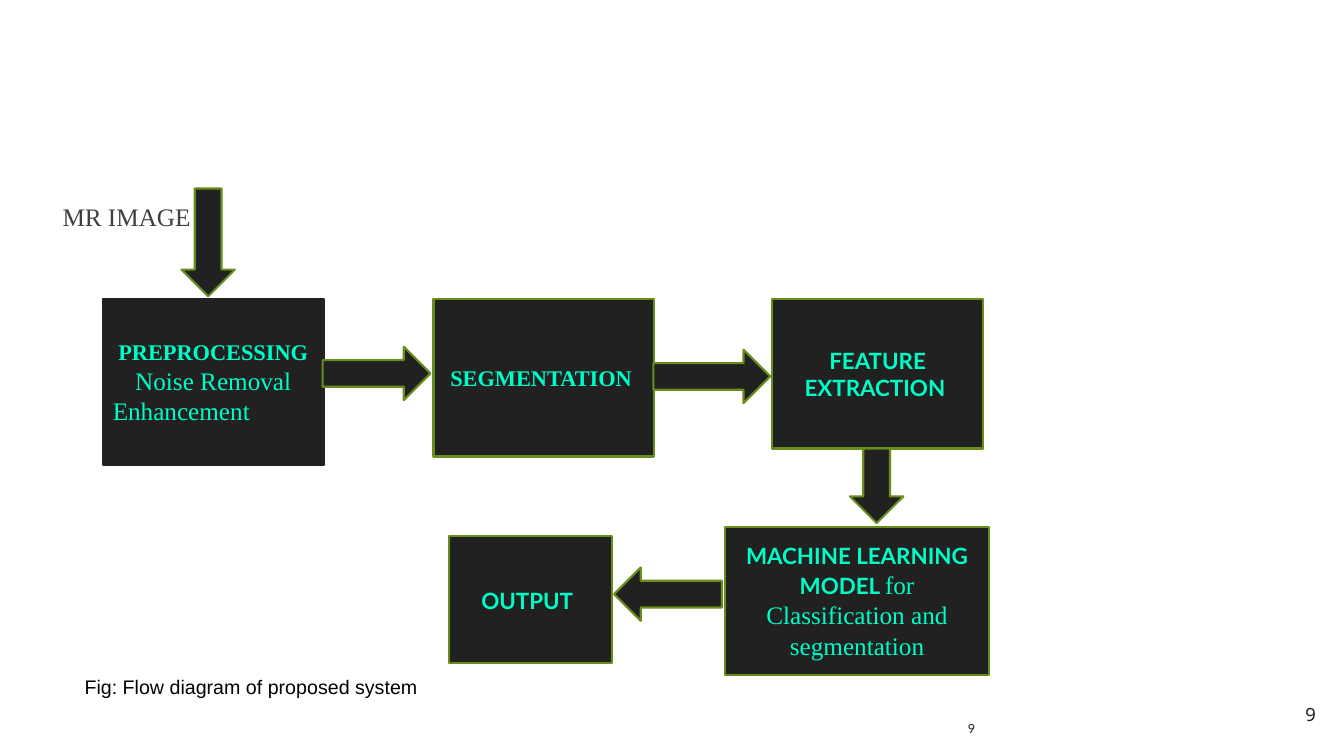
from pptx import Presentation
from pptx.dml.color import RGBColor
from pptx.enum.shapes import MSO_SHAPE
from pptx.enum.text import MSO_ANCHOR, PP_ALIGN
from pptx.util import Inches, Pt

RECTANGLE = MSO_SHAPE.RECTANGLE
RIGHT, DOWN, LEFT = MSO_SHAPE.RIGHT_ARROW, MSO_SHAPE.DOWN_ARROW, MSO_SHAPE.LEFT_ARROW
TOP, MIDDLE = MSO_ANCHOR.TOP, MSO_ANCHOR.MIDDLE
ALIGN_LEFT, ALIGN_CENTER, ALIGN_RIGHT = PP_ALIGN.LEFT, PP_ALIGN.CENTER, PP_ALIGN.RIGHT

COLORS = {
    "dark": "212121",
    "green": "698D1B",
    "mint": "00FDC8",
    "gray": "3F3F3F",
    "black": "000000",
}
SERIF = "Times New Roman"
SERIF_HEADING = {"name": SERIF, "size": Pt(16), "bold": True}
LATO_HEADING = {"name": "Lato", "size": Pt(16), "bold": True}
DETAIL = {"name": SERIF, "size": Pt(18), "bold": False}

STEPS = [
    ((1.02, 2.97, 2.19, 1.64), "dark", [
        (ALIGN_CENTER, [("PREPROCESSING", SERIF_HEADING)]),
        (ALIGN_CENTER, [("Noise Removal", DETAIL)]),
        (ALIGN_LEFT, [("Enhancement", DETAIL)]),
    ]),
    ((4.3, 2.97, 2.19, 1.56), "green", [(ALIGN_CENTER, [("SEGMENTATION ", SERIF_HEADING)])]),
    ((7.66, 2.97, 2.09, 1.48), "green", [(ALIGN_CENTER, [("FEATURE EXTRACTION ", LATO_HEADING)])]),
    ((7.19, 5.23, 2.62, 1.47), "green", [
        (ALIGN_CENTER, [("MACHINE LEARNING MODEL ", LATO_HEADING),
                        ("for Classification and segmentation", DETAIL)]),
    ]),
    ((4.45, 5.32, 1.62, 1.26), "green", [(ALIGN_CENTER, [("OUTPUT", LATO_HEADING), (" ", DETAIL)])]),
]
ARROWS = [
    (DOWN, (1.8, 1.87, 0.53, 1.07)),
    (RIGHT, (3.2, 3.44, 1.07, 0.53)),
    (RIGHT, (6.48, 3.47, 1.16, 0.53)),
    (DOWN, (8.43, 4.45, 0.53, 0.74)),
    (LEFT, (6.09, 5.63, 1.07, 0.53)),
]
LABELS = [
    ("Fig: Flow diagram of proposed system", (0.74, 6.61, 6.89, 0.4), "black",
     {"name": "Arial", "size": Pt(14)}, ALIGN_LEFT, MIDDLE, 0.1),
    ("9", (12.35, 6.8, 0.8, 0.57), "dark",
     {"name": "Noto Sans Mono", "size": Pt(13)}, ALIGN_RIGHT, MIDDLE, 0.1),
    ("MR IMAGE", (0.39, 1.95, 9.61, 4.92), "gray",
     {"name": SERIF, "size": Pt(18)}, ALIGN_LEFT, TOP, 0.23),
    ("9", (8.97, 7.08, 0.8, 0.3), "dark",
     {"name": "Lato", "size": Pt(9)}, ALIGN_RIGHT, MIDDLE, 0.1),
]


def rgb(name):
    """Return the named colour."""
    return RGBColor.from_string(COLORS[name])


def write_text(frame, paragraphs, color, anchor=MIDDLE):
    """Fill a text frame with aligned paragraphs of formatted runs."""
    frame.word_wrap = True
    frame.vertical_anchor = anchor
    for index, (alignment, runs) in enumerate(paragraphs):
        paragraph = frame.add_paragraph() if index else frame.paragraphs[0]
        paragraph.alignment = alignment
        for text, font_values in runs:
            run = paragraph.add_run()
            run.text = text
            run.font.color.rgb = rgb(color)
            for attribute, value in font_values.items():
                setattr(run.font, attribute, value)


def add_block(slide, kind, box, outline="green"):
    """Add a dark outlined preset shape."""
    shape = slide.shapes.add_shape(kind, *map(Inches, box))
    shape.shadow.inherit = False
    shape.fill.solid()
    shape.fill.fore_color.rgb = rgb("dark")
    shape.line.color.rgb = rgb(outline)
    shape.line.width = Pt(1.5)
    return shape


def add_step(slide, box, outline, paragraphs):
    """Add one captioned step of the flow."""
    shape = add_block(slide, RECTANGLE, box, outline)
    write_text(shape.text_frame, paragraphs, "mint")


def add_label(slide, text, box, color, font_values, alignment, anchor, margin_left):
    """Add a one-line text box."""
    frame = slide.shapes.add_textbox(*map(Inches, box)).text_frame
    frame.margin_left = Inches(margin_left)
    write_text(frame, [(alignment, [(text, font_values)])], color, anchor)


def main():
    """Build and save the flow diagram slide."""
    presentation = Presentation()
    presentation.slide_width = Inches(13.33)
    presentation.slide_height = Inches(7.5)
    slide = presentation.slides.add_slide(presentation.slide_layouts[6])
    for label in LABELS:
        add_label(slide, *label)
    for step in STEPS:
        add_step(slide, *step)
    for kind, box in ARROWS:
        add_block(slide, kind, box)
    presentation.save("out.pptx")


if __name__ == "__main__":
    main()
